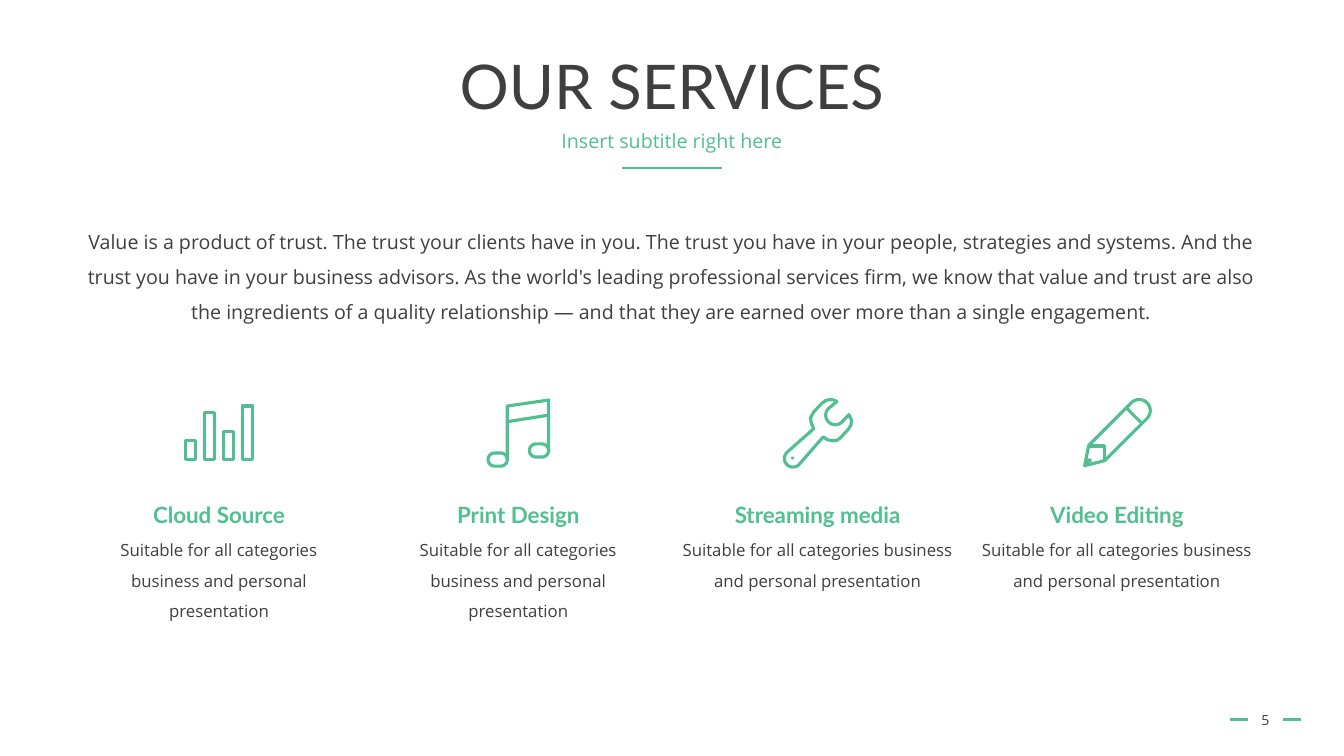
from dataclasses import dataclass
from math import cos, radians, sin

from lxml import etree
from pptx import Presentation
from pptx.dml.color import RGBColor
from pptx.enum.shapes import MSO_CONNECTOR
from pptx.enum.text import MSO_ANCHOR, PP_ALIGN
from pptx.oxml.ns import qn
from pptx.util import Cm, Pt

STRAIGHT = MSO_CONNECTOR.STRAIGHT
TOP, MIDDLE = MSO_ANCHOR.TOP, MSO_ANCHOR.MIDDLE
CENTER = PP_ALIGN.CENTER
TITLE_ONLY = 5
ICON_GRID = 70


@dataclass(frozen=True)
class Theme:
    accent: RGBColor = RGBColor(0x52, 0xBF, 0x90)
    ink: RGBColor = RGBColor(0x3F, 0x3F, 0x3F)
    heading_font: str = "Lato"
    body_font: str = "Open Sans"
    title_size: int = 44
    body_size: int = 14
    service_size: int = 16
    detail_size: int = 12
    number_size: int = 10
    rule_width: float = 1.75
    icon_width: float = 2.25


@dataclass(frozen=True)
class Box:
    left: float
    top: float
    width: float
    height: float

    @property
    def center(self):
        return self.left + self.width / 2

    @property
    def middle(self):
        return self.top + self.height / 2

    def inner(self, width, top, height):
        return Box(self.center - width / 2, self.top + top, width, height)

    def lengths(self):
        return Cm(self.left), Cm(self.top), Cm(self.width), Cm(self.height)


THEME = Theme()


def write(shape, words, size, font=THEME.body_font, color=THEME.ink,
          bold=False, spacing=1.0, anchor=TOP):
    frame = shape.text_frame
    frame.word_wrap = True
    frame.vertical_anchor = anchor
    frame.text = words
    para = frame.paragraphs[0]
    para.alignment = CENTER
    para.line_spacing = spacing
    para.space_before = Pt(0)
    para.font.size = Pt(size)
    para.font.name = font
    para.font.bold = bold
    para.font.color.rgb = color


def add_text(page, box, words, size, **style):
    write(page.shapes.add_textbox(*box.lengths()), words, size, **style)


def add_rule(page, start, end):
    rule = page.shapes.add_connector(STRAIGHT, *map(Cm, start + end))
    rule.line.color.rgb = THEME.accent
    rule.line.width = Pt(THEME.rule_width)
    etree.SubElement(rule._element.spPr, qn("a:effectLst"))


def arc(x, y, radius, first, last, steps=16):
    angles = [radians(first + (last - first) * i / steps) for i in range(steps + 1)]
    return [(x + radius * cos(a), y + radius * sin(a)) for a in angles]


def rectangle(left, top, right, bottom):
    return [(left, top), (right, top), (right, bottom), (left, bottom)]


def pill(left, top, width, height):
    radius = height / 2
    middle = top + radius
    return (arc(left + radius, middle, radius, 90, 270)
            + arc(left + width - radius, middle, radius, -90, 90))


def draw_icon(page, box, closed, lines=(), solid=()):
    unit = box.width / ICON_GRID

    def place(points):
        return [(Cm(box.left + x * unit), Cm(box.top + y * unit)) for x, y in points]

    def trace(contours):
        first = place(contours[0][0])[0]
        builder = page.shapes.build_freeform(*first, scale=1.0)
        for i, (points, close) in enumerate(contours):
            start, *rest = place(points)
            if i:
                builder.move_to(*start)
            builder.add_line_segments(rest, close=close)
        shape = builder.convert_to_shape()
        shape.shadow.inherit = False
        return shape

    outline = trace([(points, True) for points in closed]
                    + [(points, False) for points in lines])
    outline.fill.background()
    outline.line.color.rgb = THEME.accent
    outline.line.width = Pt(THEME.icon_width)
    etree.SubElement(outline._element.spPr.find(qn("a:ln")), qn("a:round"))
    if solid:
        spot = trace([(solid, True)])
        spot.fill.solid()
        spot.fill.fore_color.rgb = THEME.accent
        spot.line.fill.background()


def draw_bars(page, box):
    lefts = [2 + 18.75 * i for i in range(4)]
    draw_icon(page, box, [rectangle(left, top, left + 10, 61)
                          for left, top in zip(lefts, (42, 14, 33, 8))])


def draw_note(page, box):
    draw_icon(page, box, [pill(5, 54.5, 19, 13), pill(46, 45.5, 19, 13)],
              lines=[[(24, 61), (24, 8), (65, 2), (65, 52)], [(24, 23.5), (65, 17)]])


def draw_wrench(page, box):
    neck = [(31, 30.5), (28.5, 24), (28, 19.5), (31, 14), (39, 5.5),
            (43, 2.5), (47, 1.5), (51, 2), (54, 3.5)]
    jaw = arc(52.5, 17, 9.5, 220, 50)
    back = [(66, 16.5), (68.5, 22), (68, 27), (65, 31.5), (57, 40),
            (54, 42), (51, 42.5), (45, 41.5), (40.5, 38.5)]
    handle = arc(10.5, 60, 8.5, 45, 225)
    draw_icon(page, box, [neck + jaw + back + handle], solid=arc(10.2, 59.5, 1.5, 0, 360))


def draw_pencil(page, box):
    body = [(3, 67), (7, 47)] + arc(57, 12.5, 11, -135, 45) + [(23, 62)]
    collar = [(7, 47.5), (22.5, 47.5), (22.5, 62)]
    band = [(44, 9.5), (60.5, 26)]
    draw_icon(page, box, [body], lines=[collar, band],
              solid=[(6, 60), (10, 60), (10, 63), (3, 67)])


def add_heading(page, box):
    title = page.shapes.title
    title.left, title.top, title.width, title.height = box.inner(box.width, 0, 2.49).lengths()
    write(title, "OUR SERVICES", THEME.title_size, font=THEME.heading_font,
          spacing=0.9, anchor=MIDDLE)
    add_text(page, box.inner(box.width, 2.18, 1.02), "Insert subtitle right here",
             THEME.body_size, color=THEME.accent, spacing=0.9)
    bottom = box.top + box.height
    add_rule(page, (box.center - 1.25, bottom), (box.center + 1.25, bottom))


def add_service(page, box, name, name_width, detail_width, detail_height, draw):
    draw(page, box.inner(1.78, 0, 1.78))
    add_text(page, box.inner(name_width, 2.47, 0.94), name, THEME.service_size,
             font=THEME.heading_font, color=THEME.accent, bold=True)
    add_text(page, box.inner(detail_width, 3.2, detail_height),
             "Suitable for all categories business and personal presentation",
             THEME.detail_size, spacing=1.5)


def add_services(page, box):
    services = (("Cloud Source", 4, 6.9, 2.54, draw_bars),
                ("Print Design", 4, 6.8, 2.54, draw_note),
                ("Streaming media", 5, 7.32, 1.78, draw_wrench),
                ("Video Editing", 4, 7.32, 1.78, draw_pencil))
    column = box.width / len(services)
    for i, service in enumerate(services):
        add_service(page, Box(box.left + i * column, box.top, column, box.height), *service)


def add_page_number(page, box):
    add_text(page, box.inner(1.5, 0, box.height), "5", THEME.number_size, anchor=MIDDLE)
    for x in (box.left, box.left + box.width - 0.45):
        add_rule(page, (x, box.middle), (x + 0.45, box.middle))


def main():
    deck = Presentation()
    deck.slide_width, deck.slide_height = Cm(33.88), Cm(19.05)
    page = deck.slides.add_slide(deck.slide_layouts[TITLE_ONLY])
    add_heading(page, Box(2.34, 1.02, 29.2, 3.22))
    add_text(page, Box(1.78, 5.37, 30.3, 3.53),
             "Value is a product of trust. The trust your clients have in you. "
             "The trust you have in your people, strategies and systems. And the trust "
             "you have in your business advisors. As the world's leading professional "
             "services firm, we know that value and trust are also the ingredients of a "
             "quality relationship — and that they are earned over more than a single "
             "engagement.", THEME.body_size, spacing=1.5)
    add_services(page, Box(1.75, 10.03, 30.18, 5.74))
    add_page_number(page, Box(31, 17.62, 1.8, 1.02))
    deck.save("out.pptx")


if __name__ == "__main__":
    main()
